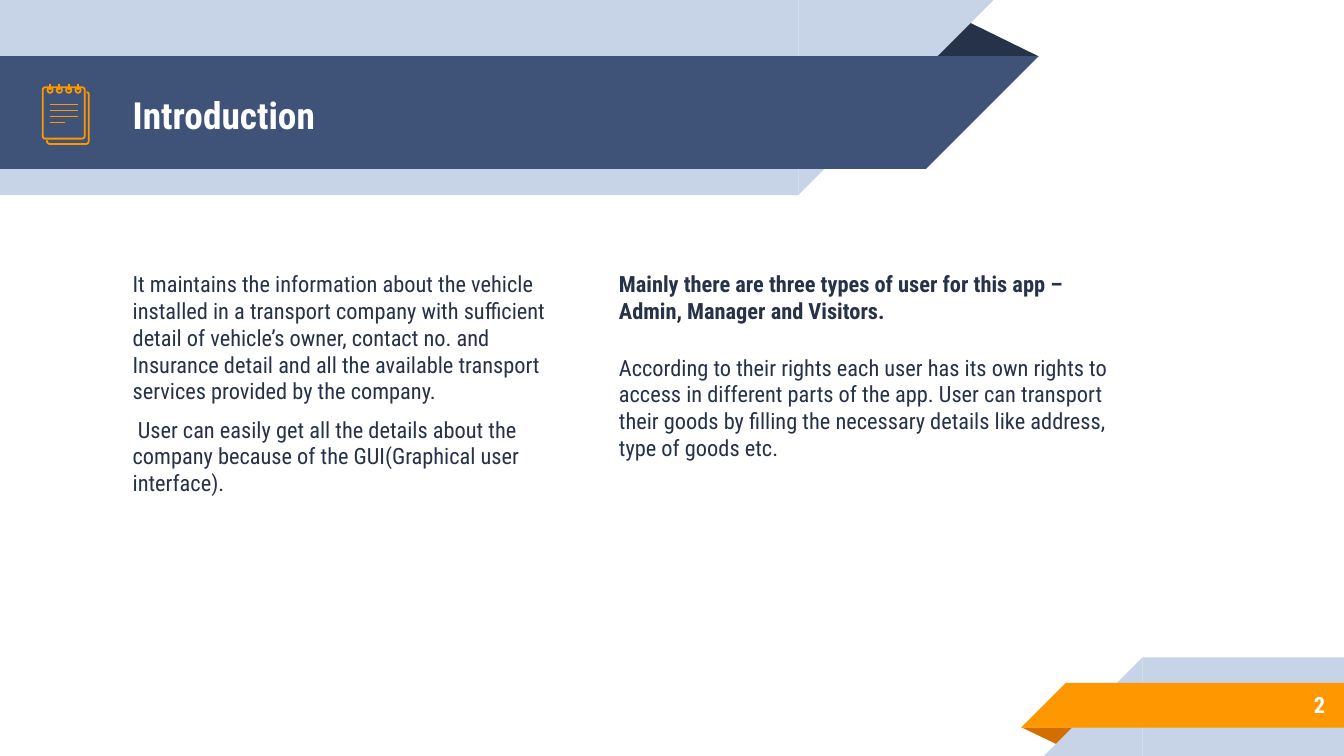
from lxml.etree import SubElement as Sub
from pptx import Presentation
from pptx.dml.color import RGBColor as RGB
from pptx.enum.shapes import MSO_CONNECTOR as Conn, MSO_SHAPE as Geo
from pptx.enum.text import MSO_ANCHOR as Anchor, PP_ALIGN as Align
from pptx.oxml.ns import qn
from pptx.util import Pt

# Content: each paragraph is (text, bold)
TITLE = [("Introduction", True)]
LEFT = [
    ("It maintains the information about the vehicle installed in a transport "
     "company with sufficient detail of vehicle’s owner, contact no. and "
     "Insurance detail and all the available transport services provided by "
     "the company.", False),
    (" User can easily get all the details about the company because of the "
     "GUI(Graphical user interface).", False),
]
RIGHT = [
    ("Mainly there are three types of user for this app – Admin, Manager and "
     "Visitors.", True),
    ("According to their rights each user has its own rights to access in "
     "different parts of the app. User can transport their goods by filling "
     "the necessary details like address, type of goods etc.", False),
]
PAGE = [("2", True)]

THEME = {
    "font": "Roboto Condensed", "head": 20, "body": 12, "line": 0.96,
    "pale": "C7D3E6", "navy": "3F5378", "dark": "263248",
    "gold": "FF9800", "rust": "D26F00", "white": "FFFFFF",
}
WIDE, HIGH, PAD = 720, 405, 7.2

deck = Presentation()
deck.slide_width, deck.slide_height = Pt(WIDE), Pt(HIGH)
slide = deck.slides.add_slide(deck.slide_layouts[6])
shapes = slide.shapes


def tint(name):
    return RGB.from_string(THEME[name])


def solid(geo, x, y, w, h, color, turn=0, flip=False):
    part = shapes.add_shape(geo, Pt(x), Pt(y), Pt(w), Pt(h))
    part.shadow.inherit = False
    part.fill.solid()
    part.fill.fore_color.rgb = tint(color)
    part.line.fill.background()
    part.rotation = turn
    if flip:
        part._element.spPr.xfrm.set("flipH", "1")
    return part


def fold(x, y, w, h, color, turn=0):
    part = solid(Geo.ISOSCELES_TRIANGLE, x, y, w, h, color, turn)
    part.adjustments[0] = 0.324


def band(x, y, w, h, color, top):
    """A bar with a 45 degree end: on the right at the top, else on the left."""
    turn = 180 if top else 0
    solid(Geo.RECTANGLE, x, y, w, h, color, turn, True)
    tip = x + w if top else x - h
    solid(Geo.RIGHT_TRIANGLE, tip, y, h, h, color, turn, True)


def write(x, y, w, h, paras, color, size="body", mid=False, align=Align.LEFT,
          after=0):
    frame = shapes.add_textbox(Pt(x), Pt(y), Pt(w), Pt(h)).text_frame
    frame.word_wrap = True
    frame.margin_left = frame.margin_right = Pt(PAD)
    frame.margin_top = frame.margin_bottom = Pt(PAD)
    frame.vertical_anchor = Anchor.MIDDLE if mid else Anchor.TOP
    for i, (text, bold) in enumerate(paras):
        para = frame.add_paragraph() if i else frame.paragraphs[0]
        para.alignment = align
        para.space_before, para.space_after = Pt(0 if mid else 6), Pt(after)
        run = para.add_run()
        run.text = text
        font = run.font
        font.name, font.size, font.bold = THEME["font"], Pt(THEME[size]), bold
        font.color.rgb = tint(color)


def ink(part):
    part.line.color.rgb = tint("gold")
    part.line.width = Pt(THEME["line"])


def clear(part):
    part.shadow.inherit = False
    part.fill.background()
    ink(part)


def hollow(geo, x, y, w, h):
    part = shapes.add_shape(geo, Pt(x), Pt(y), Pt(w), Pt(h))
    clear(part)
    return part


def stroke(x1, y1, x2, y2):
    part = shapes.add_connector(Conn.STRAIGHT, Pt(x1), Pt(y1), Pt(x2), Pt(y2))
    ink(part)
    Sub(part._element.spPr, qn("a:effectLst"))


# Header ribbon
fold(495.5, 10, 61, 20.2, "dark")
band(0, 0, 427.7, 104.5, "pale", True)
band(0, 30, 496, 60.5, "navy", True)

# Footer ribbon
fold(547.2, 389.6, 31, 10.1, "rust", 180)
band(612, 352.2, WIDE - 612, HIGH - 352.2, "pale", False)
band(571, 365.8, WIDE - 571, 24, "gold", False)

# Text
write(64, 31, 414, 60.5, TITLE, "white", "head", mid=True)
write(64, 137.5, 242.6, 138, LEFT, "dark")
write(324.5, 137.5, 288, 138, RIGHT, "dark", after=10)
write(600, 365.2, 117, 25, PAGE, "white", mid=True, align=Align.RIGHT)

# Notepad: back sheet, then front sheet
edge = [(25.1, 75.2), (25.4, 76.4), (26.4, 77.1), (46.4, 77.1), (47.3, 76.6),
        (47.6, 75.6), (47.6, 50.6), (47.3, 49.7), (46.4, 49.4)]
spots = [(Pt(x), Pt(y)) for x, y in edge]
build = shapes.build_freeform(*spots[0])
build.add_line_segments(spots[1:], close=False)
clear(build.convert_to_shape())
sheet = hollow(Geo.ROUNDED_RECTANGLE, 22.9, 46.8, 22.5, 27.5)
sheet.adjustments[0] = 0.06

# Notepad: ruled lines and rings
for i, span in enumerate([15.4, 15.4, 15.4, 8]):
    y = 56 + 3.2 * i
    stroke(26.6, y, 26.6 + span, y)
for i in range(4):
    x = 26.8 + 5 * i
    hollow(Geo.OVAL, x - 1.4, 46.9, 2.8, 2.8)
    stroke(x, 45.2, x, 48.3)

deck.save("out.pptx")
